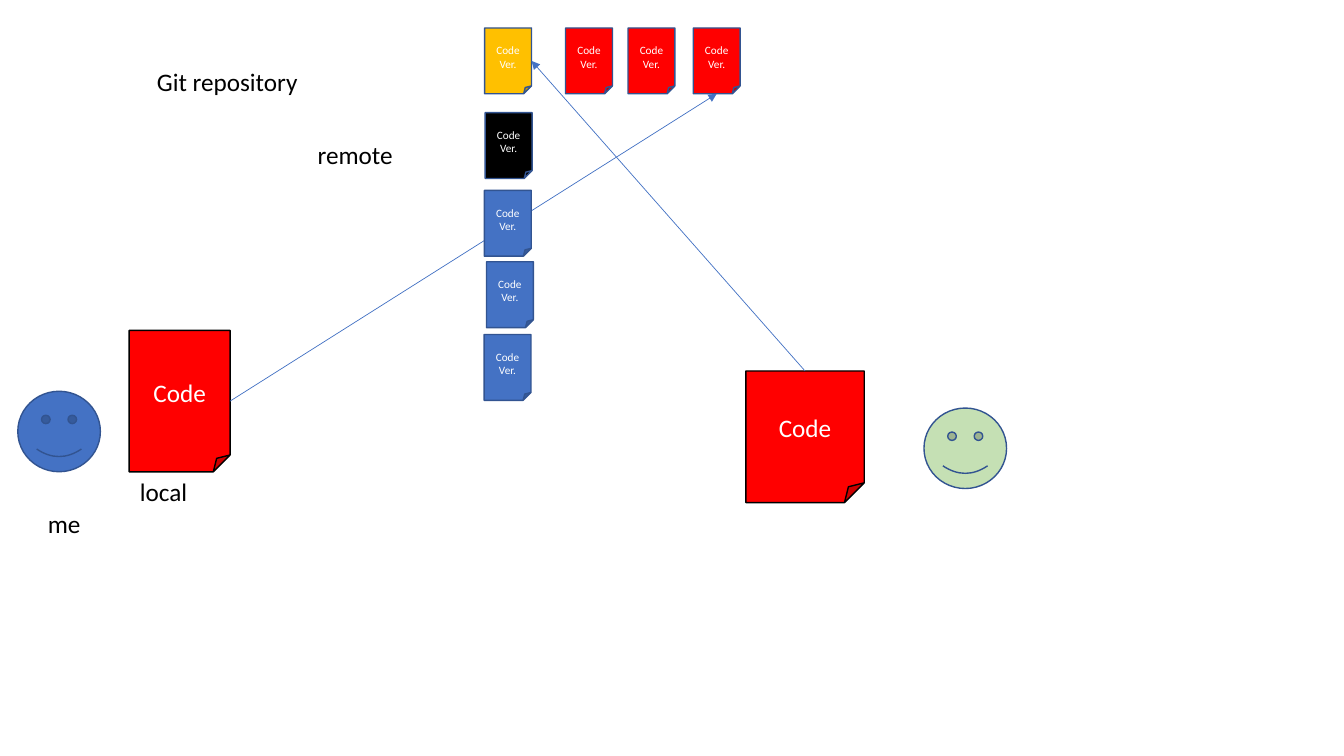
from lxml import etree
from pptx import Presentation
from pptx.dml.color import RGBColor
from pptx.enum.shapes import MSO_CONNECTOR as Connector, MSO_SHAPE as Preset
from pptx.enum.text import MSO_ANCHOR as Anchor, MSO_AUTO_SIZE as AutoSize, PP_ALIGN as Align
from pptx.oxml.ns import qn
from pptx.util import Pt

COLOURS = {
    "red": "FF0000", "gold": "FFC000", "black": "000000", "white": "FFFFFF",
    "blue": "4472C4", "outline": "325491", "green": "C5E0B4",
}
TOP, BOTTOM, RIGHT = 0, 2, 3


def colour(name):
    return RGBColor.from_string(COLOURS[name])


class Diagram:
    font_name = "Calibri"
    version_size = (33.5, 47)

    def __init__(self, slide):
        self.slide = slide

    def fill_text(self, frame, lines, size, ink, align):
        frame.word_wrap = True
        for index, line in enumerate(lines):
            paragraph = frame.add_paragraph() if index else frame.paragraphs[0]
            paragraph.text = line
            paragraph.alignment = align
            values = {"name": self.font_name, "size": Pt(size)}
            for key, value in values.items():
                setattr(paragraph.font, key, value)
            paragraph.font.color.rgb = colour(ink)

    def shape(self, preset, box, fill, line="outline"):
        shape = self.slide.shapes.add_shape(preset, *map(Pt, box))
        shape.shadow.inherit = False
        shape.fill.solid()
        shape.fill.fore_color.rgb = colour(fill)
        shape.line.color.rgb = colour(line)
        shape.line.width = Pt(1)
        return shape

    def page(self, box, fill, lines, size, line="outline"):
        shape = self.shape(Preset.FOLDED_CORNER, box, fill, line)
        shape.text_frame.vertical_anchor = Anchor.MIDDLE
        self.fill_text(shape.text_frame, lines, size, "white", Align.CENTER)
        return shape

    def code(self, box):
        return self.page(box, "red", ["Code"], 18, "black")

    def version(self, left, top, fill):
        return self.page((left, top, *self.version_size), fill, ["Code", "Ver."], 8)

    def face(self, left, top, fill):
        return self.shape(Preset.SMILEY_FACE, (left, top, 59, 57.5), fill)

    def label(self, text, left, top, width, align=Align.LEFT):
        box = self.slide.shapes.add_textbox(Pt(left), Pt(top), Pt(width), Pt(29))
        self.fill_text(box.text_frame, [text], 18, "black", align)
        box.text_frame.auto_size = AutoSize.SHAPE_TO_FIT_TEXT

    def arrow(self, source, source_side, target, target_side):
        arrow = self.slide.shapes.add_connector(Connector.STRAIGHT, 0, 0, 0, 0)
        arrow.begin_connect(source, source_side)
        arrow.end_connect(target, target_side)
        arrow.line.color.rgb = colour("blue")
        arrow.line.width = Pt(0.5)
        properties = arrow._element.spPr
        etree.SubElement(properties.find(qn("a:ln")), qn("a:tailEnd"), type="triangle")
        etree.SubElement(properties, qn("a:effectLst"))


def main():
    presentation = Presentation()
    presentation.slide_width, presentation.slide_height = Pt(960), Pt(540)
    slide = presentation.slides.add_slide(presentation.slide_layouts[6])
    diagram = Diagram(slide)

    # People and their working code
    diagram.face(12.7, 279.5, "blue")
    diagram.face(660, 291.5, "green")
    local_code = diagram.code((92.2, 236, 72.2, 101))
    other_code = diagram.code((532.8, 265, 84.5, 94))

    # Top row of versions
    top_row = [
        diagram.version(left, 20, fill)
        for left, fill in [(346.2, "gold"), (404, "red"), (448.6, "red"), (495.2, "red")]
    ]

    # Pushes to the repository, passing behind the version column
    diagram.arrow(local_code, RIGHT, top_row[-1], BOTTOM)
    diagram.arrow(other_code, TOP, top_row[0], RIGHT)

    # Column of versions
    for left, top, fill in [
        (346.6, 80.5, "black"), (346, 136, "blue"),
        (347.5, 187, "blue"), (345.8, 239, "blue"),
    ]:
        diagram.version(left, top, fill)

    # Labels
    diagram.label("me", 3.6, 359.3, 84.5, Align.CENTER)
    diagram.label("Git repository", 105, 43.5, 167)
    diagram.label("remote", 219.8, 96.3, 119)
    diagram.label("local", 92.9, 337, 119)

    presentation.save("out.pptx")


if __name__ == "__main__":
    main()
